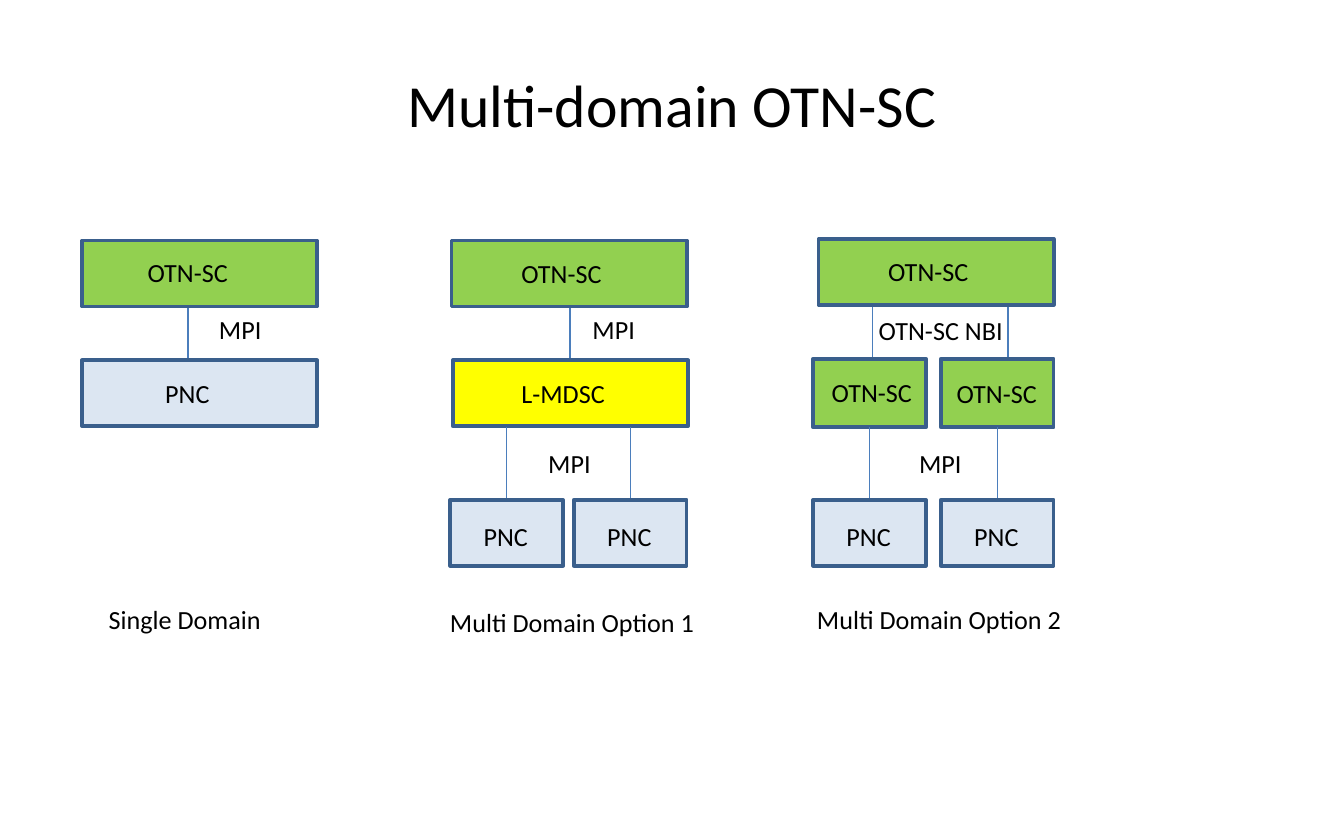
from dataclasses import dataclass

import lxml.etree
import pptx
import pptx.dml.color
import pptx.enum.shapes
import pptx.enum.text
import pptx.oxml.ns
import pptx.util

Pt = pptx.util.Pt
GREEN, YELLOW, PALE = "92D050", "FFFF00", "DCE6F2"
BOX_LINE, LINK_LINE, BLACK = "3A5F8C", "4B7EBC", "000000"
WIDE, NARROW = 126, 60.5
TOP, MIDDLE, BOTTOM = 128.9, 193, 267.8
BOX_H, LABEL_H = 35.3, 24.5
LABEL_W = {"OTN-SC": 57.6, "PNC": 38.9, "MPI": 37.4, "L-MDSC": 59.8,
           "OTN-SC NBI": 81.4, "Single Domain": 96.5,
           "Multi Domain Option 1": 146.9, "Multi Domain Option 2": 146.9}


@dataclass
class Box:
    x: float
    y: float
    w: float
    fill: str
    h: float = BOX_H


@dataclass
class Label:
    text: str
    x: float
    y: float


@dataclass
class Link:
    x: float
    y1: float
    y2: float


def rgb(value: str) -> pptx.dml.color.RGBColor:
    return pptx.dml.color.RGBColor.from_string(value)


def format_text(tf, text: str, size: float, frame: dict) -> None:
    for name, value in frame.items():
        setattr(tf, name, value)
    r = tf.paragraphs[0].add_run()
    r.text = text
    for name, value in {"name": "Calibri", "size": Pt(size)}.items():
        setattr(r.font, name, value)
    r.font.color.rgb = rgb(BLACK)


def draw_box(shapes, box: Box) -> None:
    sp = shapes.add_shape(pptx.enum.shapes.MSO_SHAPE.RECTANGLE,
                          Pt(box.x), Pt(box.y), Pt(box.w), Pt(box.h))
    sp.shadow.inherit = False
    sp.fill.solid()
    sp.fill.fore_color.rgb = rgb(box.fill)
    sp.line.color.rgb = rgb(BOX_LINE)
    sp.line.width = Pt(2)


def draw_label(shapes, label: Label) -> None:
    sp = shapes.add_textbox(Pt(label.x), Pt(label.y), Pt(LABEL_W[label.text]), Pt(LABEL_H))
    format_text(sp.text_frame, label.text, 14, {
        "word_wrap": False,
        "auto_size": pptx.enum.text.MSO_AUTO_SIZE.SHAPE_TO_FIT_TEXT})


def draw_link(shapes, link: Link) -> None:
    sp = shapes.add_connector(pptx.enum.shapes.MSO_CONNECTOR.STRAIGHT,
                              Pt(link.x), Pt(link.y1), Pt(link.x), Pt(link.y2))
    sp.line.color.rgb = rgb(LINK_LINE)
    sp.line.width = Pt(0.75)
    lxml.etree.SubElement(sp._element.spPr, pptx.oxml.ns.qn("a:effectLst"))


prs = pptx.Presentation()
prs.slide_width, prs.slide_height = Pt(720), Pt(450)
slide = prs.slides.add_slide(prs.slide_layouts[5])

# Title
title = slide.shapes.title
for name, value in {"left": 36, "top": 18, "width": 648, "height": 75}.items():
    setattr(title, name, Pt(value))
format_text(title.text_frame, "Multi-domain OTN-SC", 32,
            {"vertical_anchor": pptx.enum.text.MSO_ANCHOR.MIDDLE})
title.text_frame.paragraphs[0].alignment = pptx.enum.text.PP_ALIGN.CENTER

# Single domain
parts = [
    Link(100.8, 164.2, 193.7),
    Box(43.9, TOP, WIDE, GREEN), Label("OTN-SC", 72, 133.9),
    Box(43.9, MIDDLE, WIDE, PALE), Label("PNC", 81.4, 198.7),
    Label("MPI", 110.2, 164.2), Label("Single Domain", 51.1, 319.7),
]

# Multi domain, option 1
parts += [
    Link(305.3, 164.2, MIDDLE),
    Box(241.9, TOP, WIDE, GREEN), Label("OTN-SC", 272.2, 134.3),
    Box(242.6, MIDDLE, WIDE, YELLOW), Label("L-MDSC", 272.2, 198.7),
    Label("MPI", 310.3, 164.2), Label("MPI", 286.6, 236.2),
    Label("Multi Domain Option 1", 234, 321.1),
]

# Multi domain, option 2
parts += [
    Link(467.3, 164.2, 193.7), Link(540, 163.4, 192.2),
    Box(438.5, 128, WIDE, GREEN), Label("OTN-SC", 468.7, 133.2),
    Box(435.6, 192.2, NARROW, GREEN, 36.7), Label("OTN-SC", 438.5, 198),
    Box(504, 192.2, NARROW, GREEN, 36.7), Label("OTN-SC", 505.4, 198.7),
    Label("OTN-SC NBI", 463.7, 164.9), Label("MPI", 485.3, 236.2),
    Label("Multi Domain Option 2", 430.6, 319.7),
]

# Bottom row of controllers, each linked to the layer above
for x in (241.2, 307.4, 435.6, 504):
    parts += [Link(x + NARROW / 2, 229, BOTTOM), Box(x, BOTTOM, NARROW, PALE),
              Label("PNC", x + 10.8, 275)]

draw = {Box: draw_box, Label: draw_label, Link: draw_link}
for part in parts:
    draw[type(part)](slide.shapes, part)

prs.save("out.pptx")
